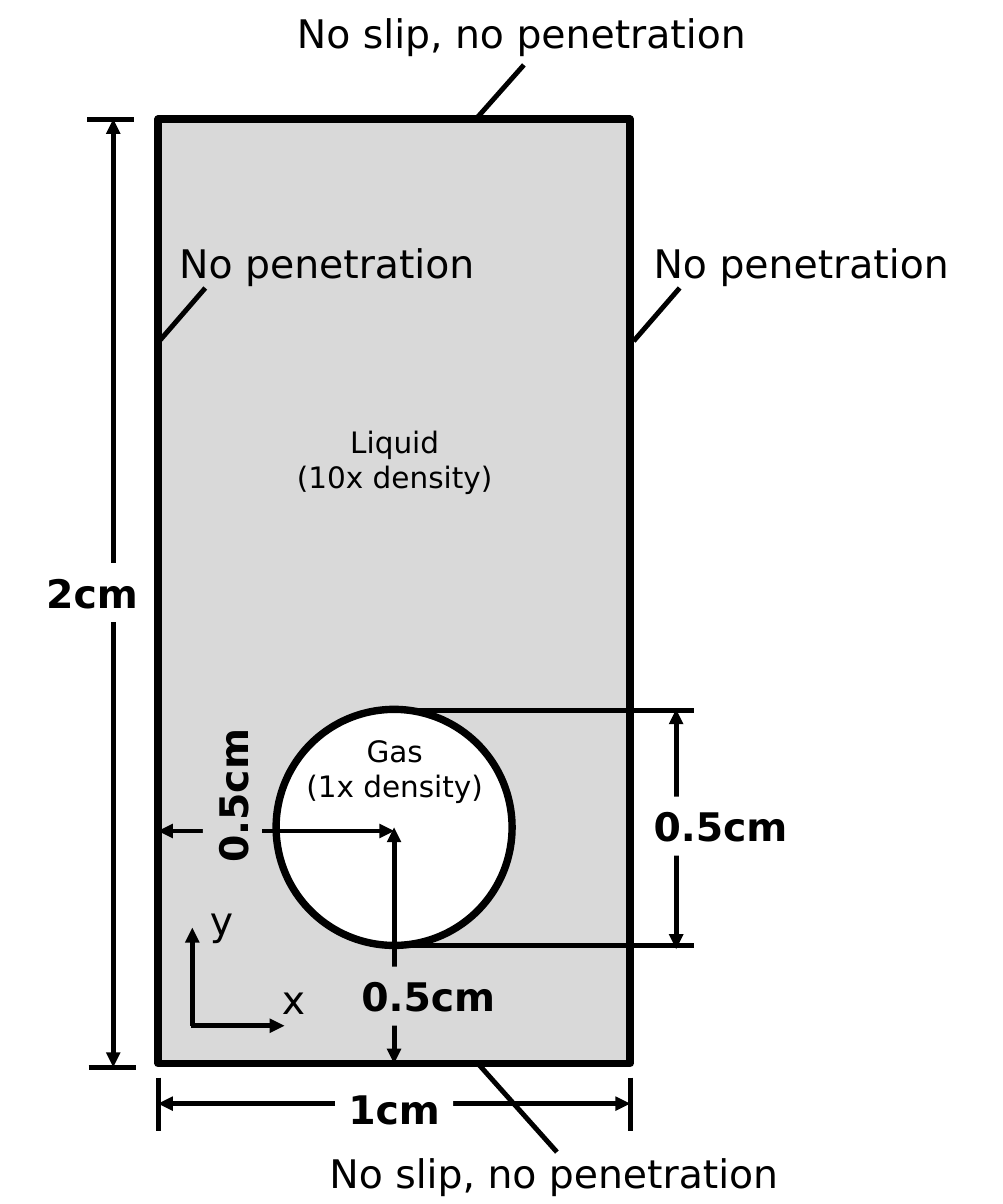
from lxml import etree
from pptx import Presentation
from pptx import util as u
from pptx.dml.color import RGBColor
from pptx.enum import shapes, text
from pptx.oxml.ns import qn

PX = 9144
COLORS = {"ink": "000000", "liquid": "D9D9D9", "paper": "FFFFFF"}
LEFT, TOP, WIDTH, HEIGHT = 134, 101, 400, 800
RIGHT, BOTTOM = LEFT + WIDTH, TOP + HEIGHT
RADIUS = 100
MID_X, MID_Y = LEFT + WIDTH // 2, BOTTOM - 2 * RADIUS


class Diagram:
    """Draws styled shapes, lines and labels on one slide."""

    def __init__(self, slide, font="DejaVu Sans", border=4.5, stroke=3):
        self.s, self.font, self.border, self.stroke = slide, font, border, stroke

    def color(self, name):
        return RGBColor.from_string(COLORS[name])

    def fill(self, sp, name):
        sp.fill.solid()
        sp.fill.fore_color.rgb = self.color(name)

    def shape(self, kind, x, y, w, h, fill):
        sp = self.s.shapes.add_shape(kind, *(v * PX for v in (x, y, w, h)))
        sp.shadow.inherit = False
        self.fill(sp, fill)
        sp.line.color.rgb = self.color("ink")
        sp.line.width = u.Pt(self.border)
        return sp

    def line(self, x1, y1, x2, y2, heads=()):
        c = self.s.shapes.add_connector(
            shapes.MSO_CONNECTOR.STRAIGHT, *(v * PX for v in (x1, y1, x2, y2)))
        c.line.color.rgb = self.color("ink")
        c.line.width = u.Pt(self.stroke)
        for head in heads:
            etree.SubElement(c.line._get_or_add_ln(), qn("a:" + head), type="triangle")
        etree.SubElement(c._element.spPr, qn("a:effectLst"))
        return c

    def dimension(self, x1, y1, x2, y2):
        return self.line(x1, y1, x2, y2, ("headEnd", "tailEnd"))

    def arrow(self, x1, y1, x2, y2):
        return self.line(x1, y1, x2, y2, ("tailEnd",))

    def label(self, words, x, y, w, h=50, size=24, bold=False, center=True,
              fill=None, turn=0):
        sp = self.s.shapes.add_textbox(*(v * PX for v in (x, y, w, h)))
        sp.rotation = turn
        if fill:
            self.fill(sp, fill)
        tf = sp.text_frame
        tf.word_wrap = False
        tf.auto_size = text.MSO_AUTO_SIZE.SHAPE_TO_FIT_TEXT
        p = tf.paragraphs[0]
        p.text = words
        p.alignment = text.PP_ALIGN.CENTER if center else text.PP_ALIGN.LEFT
        for r in p.runs:
            for key, value in {"name": self.font, "size": u.Pt(size), "bold": bold}.items():
                setattr(r.font, key, value)
            r.font.color.rgb = self.color("ink")
        return sp

    def measure(self, words, x, y, w, fill="paper", **style):
        return self.label(words, x, y, w, bold=True, fill=fill, **style)


def main():
    prs = Presentation()
    prs.slide_width, prs.slide_height = 850 * PX, 1020 * PX
    d = Diagram(prs.slides.add_slide(prs.slide_layouts[6]))

    domain = d.shape(shapes.MSO_SHAPE.RECTANGLE, LEFT, TOP, WIDTH, HEIGHT, "liquid")
    d.shape(shapes.MSO_SHAPE.OVAL, MID_X - RADIUS, MID_Y - RADIUS,
            2 * RADIUS, 2 * RADIUS, "paper")

    d.dimension(MID_X, MID_Y, MID_X, BOTTOM).end_connect(domain, 2)
    d.measure("0.5cm", 295, 819, 136, "liquid")
    d.dimension(MID_X, MID_Y + 3, LEFT, MID_Y + 3)
    d.measure("0.5cm", 129, 649, 136, "liquid", turn=270)

    d.dimension(96, TOP, 96, BOTTOM + 3)
    for x, y in ((74, TOP), (75, BOTTOM + 3)):
        d.line(x, y, x + 40, y)
    d.measure("2cm", 28, 477, 100)

    for x in (LEFT, RIGHT):
        d.line(x, 913, x, 958)
    d.dimension(RIGHT, 935, LEFT, 935)
    d.measure("1cm", 284, 914, 100)

    for y in (MID_Y + RADIUS, MID_Y - RADIUS + 1):
        d.line(588, y, MID_X, y)
    d.dimension(573, MID_Y - RADIUS, 573, MID_Y + RADIUS + 3)
    d.measure("0.5cm", 544, 675, 136, center=False)

    d.arrow(163, 869, 163, 786)
    d.arrow(162, 869, 241, 869)
    d.label("x", 229, 821, 40, center=False)
    d.label("y", 168, 754, 40, center=False)

    d.label("Liquid\v(10x density)", 239, 354, 191, 71, size=18)
    d.label("Gas\v(1x density)", 247, 616, 175, 71, size=18)

    d.line(472, 976, 405, BOTTOM)
    d.line(444, 55, 405, 99)
    for x, y, w in ((234, 3, 416), (266, 969, 407)):
        d.label("No slip, no penetration", x, y, w)
    for x in (544, 142):
        d.label("No penetration", x, 198, 272, center=False)
        d.line(x + 32, 244, x - 7, 289)

    prs.save("out.pptx")


if __name__ == "__main__":
    main()
